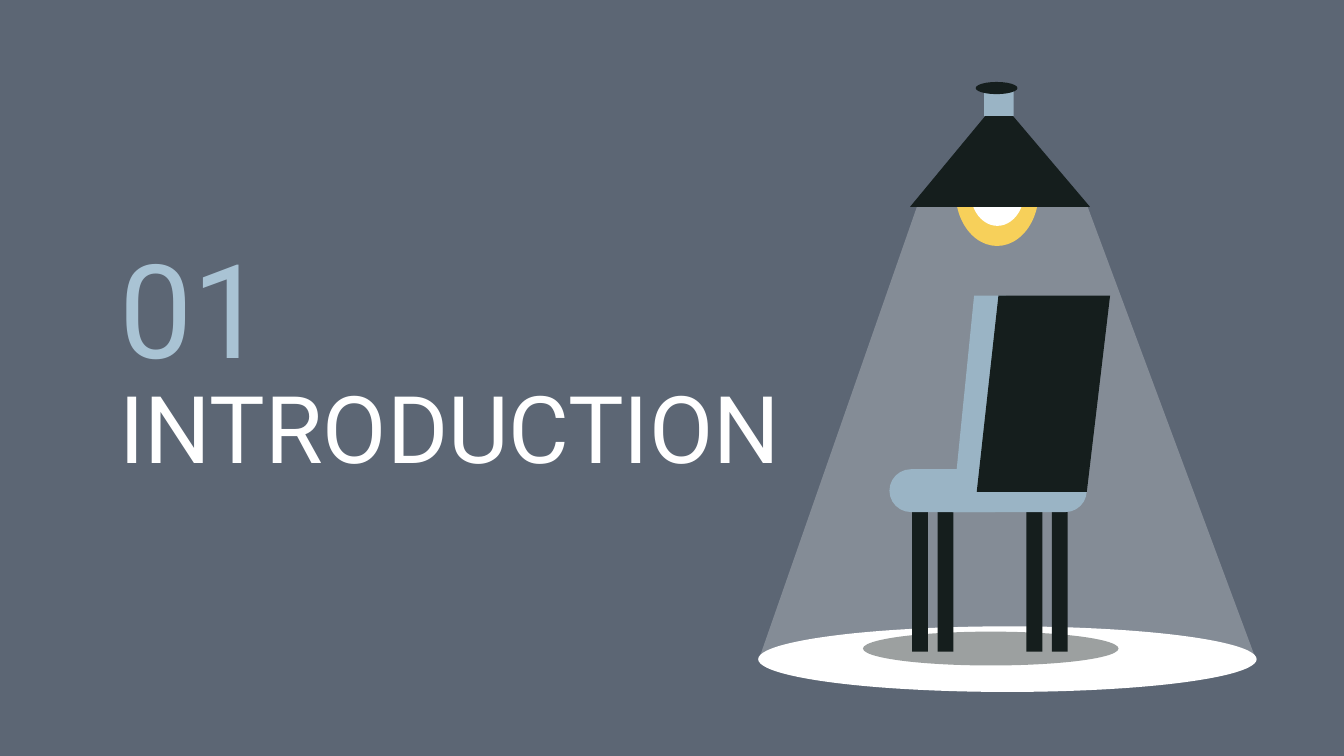
from dataclasses import dataclass

from lxml.etree import SubElement
from pptx import Presentation
from pptx.dml.color import RGBColor as RGB
from pptx.enum.shapes import MSO_SHAPE as SHAPE
from pptx.enum.text import MSO_ANCHOR as ANCHOR, MSO_AUTO_SIZE as AUTO, PP_ALIGN as ALIGN
from pptx.oxml.ns import qn
from pptx.util import Cm, Pt


@dataclass(frozen=True)
class Theme:
    font: str = "Roboto"
    background: str = "5C6674"
    white: str = "FFFFFF"
    dark: str = "151E1D"
    blue: str = "9AB4C5"
    yellow: str = "F7D05A"
    number: str = "A9C3D4"
    title_size: int = 50
    number_size: int = 70


T = Theme()


def set_attrs(obj, values):
    for name, value in values.items():
        setattr(obj, name, value)


def paint(sp, color, alpha=None):
    sp.shadow.inherit = False
    sp.fill.solid()
    sp.fill.fore_color.rgb = RGB.from_string(color)
    sp.line.fill.background()
    if alpha is not None:
        clr = sp.fill._xPr.find(qn("a:solidFill"))[0]
        SubElement(clr, qn("a:alpha"), val=str(alpha * 1000))


def preset(shapes, kind, box, offset, color, alpha=None):
    x, y, w, h = offset
    sp = shapes.add_shape(kind, Cm(box[0] + x), Cm(box[1] + y), Cm(w), Cm(h))
    paint(sp, color, alpha)
    return sp


def polygon(shapes, box, points, color, alpha=None):
    pts = [(Cm(box[0] + x), Cm(box[1] + y)) for x, y in points]
    fb = shapes.build_freeform(*pts[0])
    fb.add_line_segments(pts[1:], close=True)
    paint(fb.convert_to_shape(), color, alpha)


def heading(ph, box, text, size, color, anchor):
    set_attrs(ph, dict(zip(("left", "top", "width", "height"), map(Cm, box))))
    tf = ph.text_frame
    set_attrs(tf, {"auto_size": AUTO.NONE, "word_wrap": True, "vertical_anchor": anchor})
    set_attrs(tf, {f"margin_{side}": Cm(0.25) for side in ("left", "right", "top", "bottom")})
    p = tf.paragraphs[0]
    set_attrs(p, {"alignment": ALIGN.LEFT, "line_spacing": 1.0, "space_before": Pt(0)})
    r = p.add_run()
    r.text = text
    set_attrs(r.font, {"name": T.font, "size": Pt(size), "bold": False})
    r.font.color.rgb = RGB.from_string(color)


def lamp(s, box):
    shapes = s.shapes.add_group_shape().shapes
    beam = [(3, 2.36), (0, 10.95), (9.42, 10.95), (6.2, 2.29)]
    polygon(shapes, box, beam, T.white, 25)
    preset(shapes, SHAPE.OVAL, box, (3.73, 1.07, 1.57, 2.03), T.yellow)
    preset(shapes, SHAPE.OVAL, box, (4.01, 1.42, 1.02, 1.3), T.white)
    polygon(shapes, box, [(4.55, 0.33), (2.87, 2.36), (6.27, 2.36)], T.dark)
    preset(shapes, SHAPE.RECTANGLE, box, (4.27, 0.13, 0.56, 0.51), T.blue)
    preset(shapes, SHAPE.OVAL, box, (4.11, 0, 0.79, 0.23), T.dark)


def floor(s, box):
    preset(s.shapes, SHAPE.OVAL, box, (0, 0, *box[2:]), T.white)
    preset(s.shapes, SHAPE.OVAL, box, (1.98, 0.1, 4.83, 0.64), T.dark, 42)


def chair(s, box):
    shapes = s.shapes.add_group_shape().shapes
    for pair in (0.43, 2.59):
        for gap in (0, 0.48):
            preset(shapes, SHAPE.RECTANGLE, box, (pair + gap, 4.09, 0.3, 2.64), T.dark)
    seat = preset(shapes, SHAPE.ROUNDED_RECTANGLE, box, (0, 3.28, 3.73, 0.81), T.blue)
    seat.adjustments[0] = 0.5
    polygon(shapes, box, [(1.6, 0), (1.19, 4.09), (2, 4.09), (2.2, 0)], T.blue)
    polygon(shapes, box, [(2.06, 0), (1.65, 3.71), (3.73, 3.71), (4.17, 0)], T.dark)


def section_slide(prs):
    s = prs.slides.add_slide(prs.slide_layouts[2])
    s.background.fill.solid()
    s.background.fill.fore_color.rgb = RGB.from_string(T.background)
    heading(s.shapes.title, (2, 6.88, 14.07, 2.34), "INTRODUCTION",
            T.title_size, T.white, ANCHOR.MIDDLE)
    heading(s.placeholders[1], (2, 4.06, 4.01, 2.34), "01",
            T.number_size, T.number, ANCHOR.TOP)
    lamp(s, (14.33, 1.55))
    floor(s, (14.33, 11.84, 9.42, 1.24))
    chair(s, (16.81, 5.59))


def main():
    prs = Presentation()
    set_attrs(prs, {"slide_width": Cm(25.4), "slide_height": Cm(14.29)})
    section_slide(prs)
    prs.save("out.pptx")


if __name__ == "__main__":
    main()
